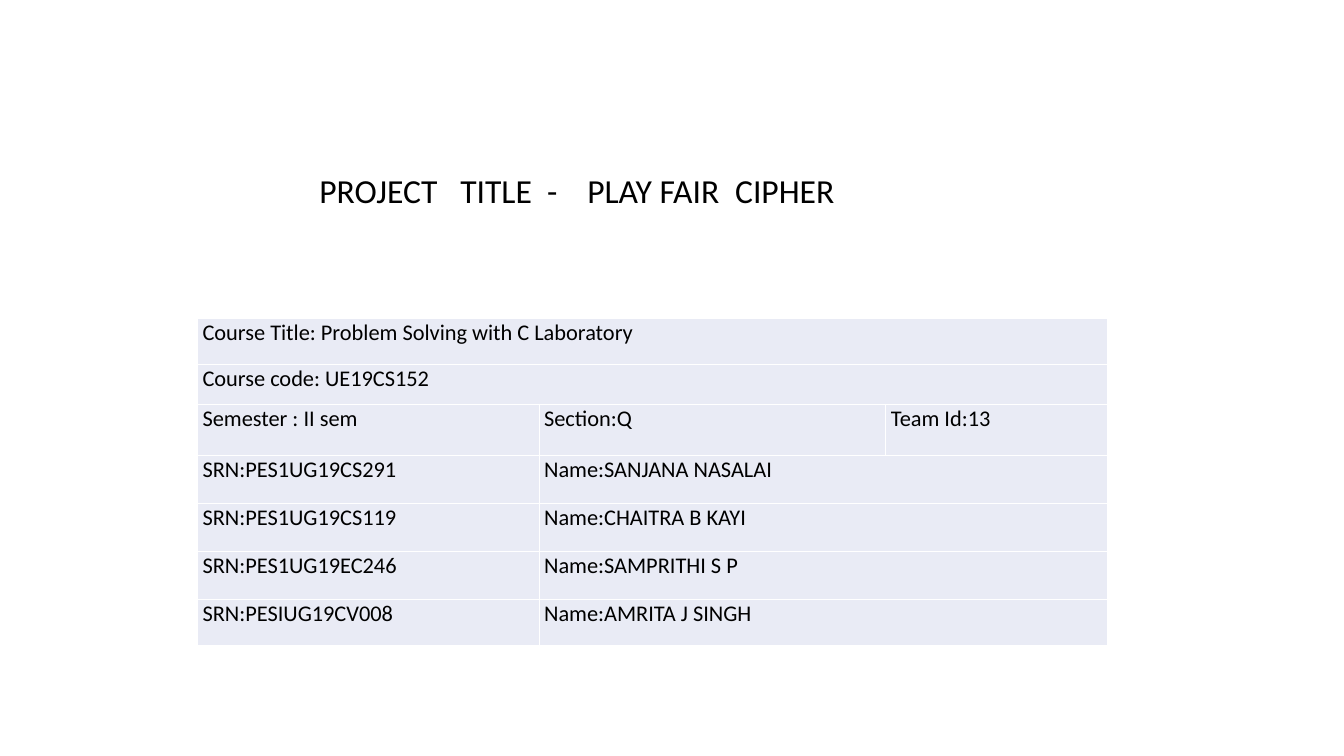
import pptx
import pptx.dml.color
import pptx.oxml
import pptx.oxml.ns
import pptx.util
from lxml import etree

Pt = pptx.util.Pt

TITLE = "PROJECT\tTITLE\t-\tPLAY FAIR\tCIPHER"
TITLE_TABS = (100.7, 162.7, 191.4, 297)
TITLE_BOX = (221, 118, 438.5, 36)

# Each row lists only its own cells; the last one reaches the right edge.
ROWS = [
    (32.8, ["Course Title: Problem Solving with C Laboratory"]),
    (28.8, ["Course code: UE19CS152"]),
    (36, ["Semester : II sem", "Section:Q", "Team Id:13"]),
    (34.4, ["SRN:PES1UG19CS291", "Name:SANJANA NASALAI"]),
    (34.4, ["SRN:PES1UG19CS119", "Name:CHAITRA B KAYI"]),
    (34.4, ["SRN:PES1UG19EC246", "Name:SAMPRITHI S P"]),
    (33, ["SRN:PESIUG19CV008", "Name:AMRITA J SINGH"]),
]
COLUMN_WIDTHS = (244, 247.7, 158.4)
TABLE_LEFT, TABLE_TOP = 141.1, 227.5

THEME = {
    "font": "Calibri",
    "text": pptx.dml.color.RGBColor.from_string("000000"),
    "cell": pptx.dml.color.RGBColor.from_string("E9EBF5"),
    "border": "FFFFFF",
    "title_size": 24,
    "cell_size": 16,
    "cell_leading": 16.5,
}
CELL_MARGINS = {
    "margin_left": Pt(3.6),
    "margin_top": Pt(3.6),
    "margin_right": Pt(5),
    "margin_bottom": Pt(3.6),
}


def set_attributes(target, values):
    for name, value in values.items():
        setattr(target, name, value)


def set_font(paragraph, size):
    set_attributes(paragraph.font, {"name": THEME["font"], "size": Pt(size)})
    paragraph.font.color.rgb = THEME["text"]


def add_tab_stops(paragraph, positions):
    tag = pptx.oxml.ns.qn
    properties = paragraph._p.get_or_add_pPr()
    tab_list = etree.SubElement(properties, tag("a:tabLst"))
    for position in positions:
        etree.SubElement(tab_list, tag("a:tab"), pos=str(Pt(position)), algn="l")


def add_borders(cell):
    properties = cell._tc.get_or_add_tcPr()
    for index, side in enumerate(("lnL", "lnR", "lnT", "lnB")):
        properties.insert(index, pptx.oxml.parse_xml(
            f'<a:{side} {pptx.oxml.ns.nsdecls("a")} w="{Pt(1)}"><a:solidFill>'
            f'<a:srgbClr val="{THEME["border"]}"/></a:solidFill></a:{side}>'))


def add_title(slide):
    box = slide.shapes.add_textbox(*map(Pt, TITLE_BOX))
    box.text_frame.word_wrap = True
    paragraph = box.text_frame.paragraphs[0]
    paragraph.text = TITLE
    add_tab_stops(paragraph, TITLE_TABS)
    set_font(paragraph, THEME["title_size"])


def add_course_table(slide):
    height = sum(row_height for row_height, _ in ROWS)
    table = slide.shapes.add_table(
        len(ROWS), len(COLUMN_WIDTHS), Pt(TABLE_LEFT), Pt(TABLE_TOP),
        Pt(sum(COLUMN_WIDTHS)), Pt(height)).table
    set_attributes(table, {"first_row": False, "horz_banding": False})
    for column, width in zip(table.columns, COLUMN_WIDTHS):
        column.width = Pt(width)

    last_column = len(COLUMN_WIDTHS) - 1
    for row_index, (row_height, texts) in enumerate(ROWS):
        table.rows[row_index].height = Pt(row_height)
        for cell in table.rows[row_index].cells:
            set_attributes(cell, CELL_MARGINS)
            cell.fill.solid()
            cell.fill.fore_color.rgb = THEME["cell"]
            add_borders(cell)
        for column_index, text in enumerate(texts):
            cell = table.cell(row_index, column_index)
            paragraph = cell.text_frame.paragraphs[0]
            paragraph.text = text
            paragraph.line_spacing = Pt(THEME["cell_leading"])
            set_font(paragraph, THEME["cell_size"])
        if len(texts) <= last_column:
            cell.merge(table.cell(row_index, last_column))


def main():
    presentation = pptx.Presentation()
    set_attributes(presentation, {"slide_width": Pt(960), "slide_height": Pt(540)})
    slide = presentation.slides.add_slide(presentation.slide_layouts[6])
    add_course_table(slide)
    add_title(slide)
    presentation.save("out.pptx")


if __name__ == "__main__":
    main()
